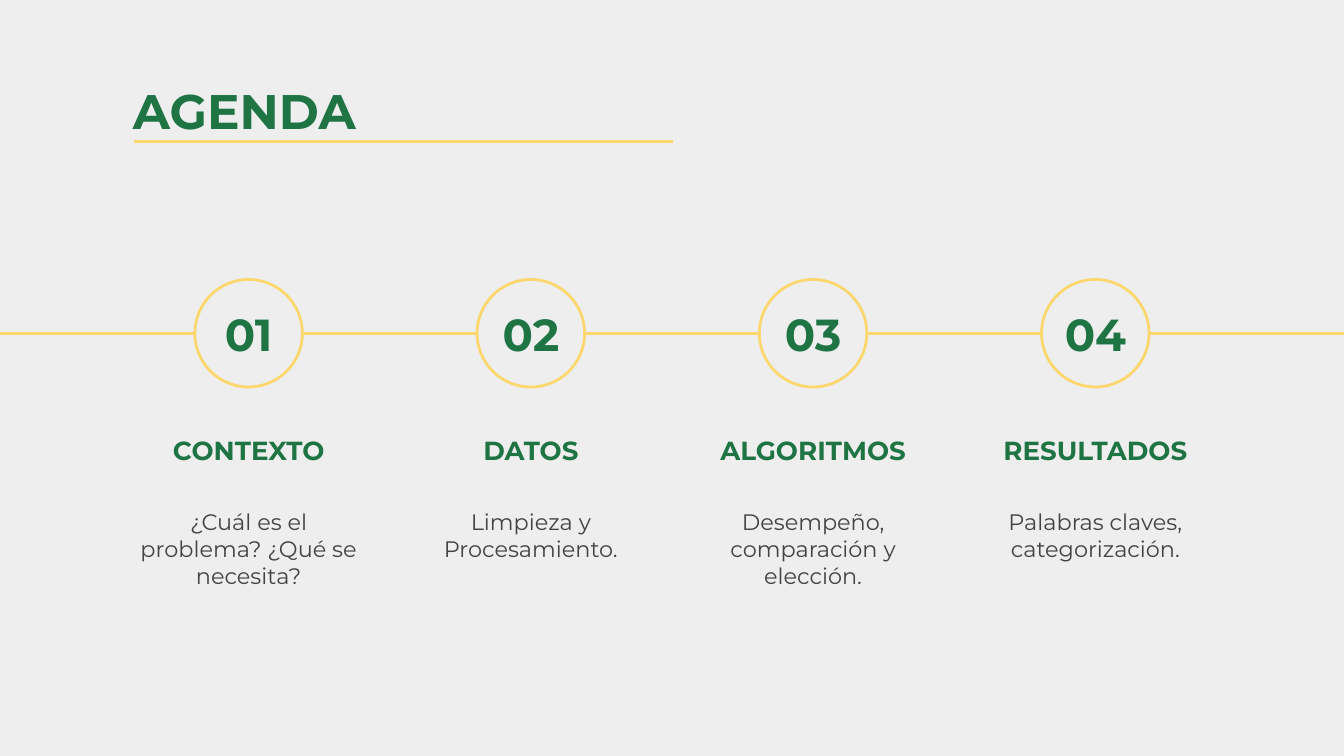
from lxml import etree
from pptx import Presentation
from pptx.dml.color import RGBColor
from pptx.enum.shapes import MSO_CONNECTOR, MSO_SHAPE
from pptx.enum.text import MSO_ANCHOR, PP_ALIGN
from pptx.oxml.ns import qn
from pptx.util import Inches, Pt

STRAIGHT = MSO_CONNECTOR.STRAIGHT
OVAL = MSO_SHAPE.OVAL
TOP, MIDDLE = MSO_ANCHOR.TOP, MSO_ANCHOR.MIDDLE
LEFT, CENTER = PP_ALIGN.LEFT, PP_ALIGN.CENTER

FONT = "Montserrat"
COLORS = {
    "background": "EEEEEE",
    "yellow": "FBD76D",
    "green": "1F7444",
    "gray": "434343",
}
RGB = {name: RGBColor.from_string(value) for name, value in COLORS.items()}

# Slide in 16:9 format
presentation = Presentation()
presentation.slide_width = Inches(10)
presentation.slide_height = Inches(10 * 9 / 16)
slide = presentation.slides.add_slide(presentation.slide_layouts[6])
slide.background.fill.solid()
slide.background.fill.fore_color.rgb = RGB["background"]


def add_line(left, right, y):
    line = slide.shapes.add_connector(
        STRAIGHT, Inches(left), Inches(y), Inches(right), Inches(y))
    line.line.color.rgb = RGB["yellow"]
    line.line.width = Pt(1.5)
    etree.SubElement(line._element.spPr, qn("a:effectLst"))


def add_text(text, left, top, width, height, size, color="green", bold=True,
             align=CENTER, anchor=TOP):
    box = slide.shapes.add_textbox(
        Inches(left), Inches(top), Inches(width), Inches(height))
    frame = box.text_frame
    frame.word_wrap = True
    frame.vertical_anchor = anchor
    frame.margin_left = frame.margin_right = Inches(0.1)
    frame.margin_top = frame.margin_bottom = Inches(0.1)
    paragraph = frame.paragraphs[0]
    paragraph.text = text
    paragraph.alignment = align
    paragraph.font.name = FONT
    paragraph.font.size = Pt(size)
    paragraph.font.bold = bold
    paragraph.font.color.rgb = RGB[color]


# Timeline across the slide, behind the circles
TIMELINE_Y = 2.48
add_line(0, 10, TIMELINE_Y)

# Title
add_text("AGENDA", 0.89, 0.5, 8.21, 0.63, 26, align=LEFT)

# Agenda steps: numbered circle, heading and description
STEPS = [
    ("CONTEXTO", "¿Cuál es el problema? ¿Qué se necesita?"),
    ("DATOS", "Limpieza y Procesamiento."),
    ("ALGORITMOS", "Desempeño, comparación y elección."),
    ("RESULTADOS", "Palabras claves, categorización."),
]
FIRST_CENTER, STEP_PITCH = 1.85, 2.1
DIAMETER, COLUMN_WIDTH = 0.8, 1.85

for index, (heading, description) in enumerate(STEPS):
    center = FIRST_CENTER + index * STEP_PITCH
    column_left = center - COLUMN_WIDTH / 2

    circle = slide.shapes.add_shape(
        OVAL, Inches(center - DIAMETER / 2), Inches(TIMELINE_Y - DIAMETER / 2),
        Inches(DIAMETER), Inches(DIAMETER))
    circle.shadow.inherit = False
    circle.fill.solid()
    circle.fill.fore_color.rgb = RGB["background"]
    circle.line.color.rgb = RGB["yellow"]
    circle.line.width = Pt(1.5)

    add_text(f"{index + 1:02}", column_left, 2.21, COLUMN_WIDTH, 0.55, 24,
             anchor=MIDDLE)
    add_text(heading, column_left, 3.13, COLUMN_WIDTH, 0.63, 14)
    add_text(description, column_left, 3.68, COLUMN_WIDTH, 0.87, 12,
             color="gray", bold=False)

# Title underline
add_line(1, 5.01, 1.05)

presentation.save("out.pptx")
